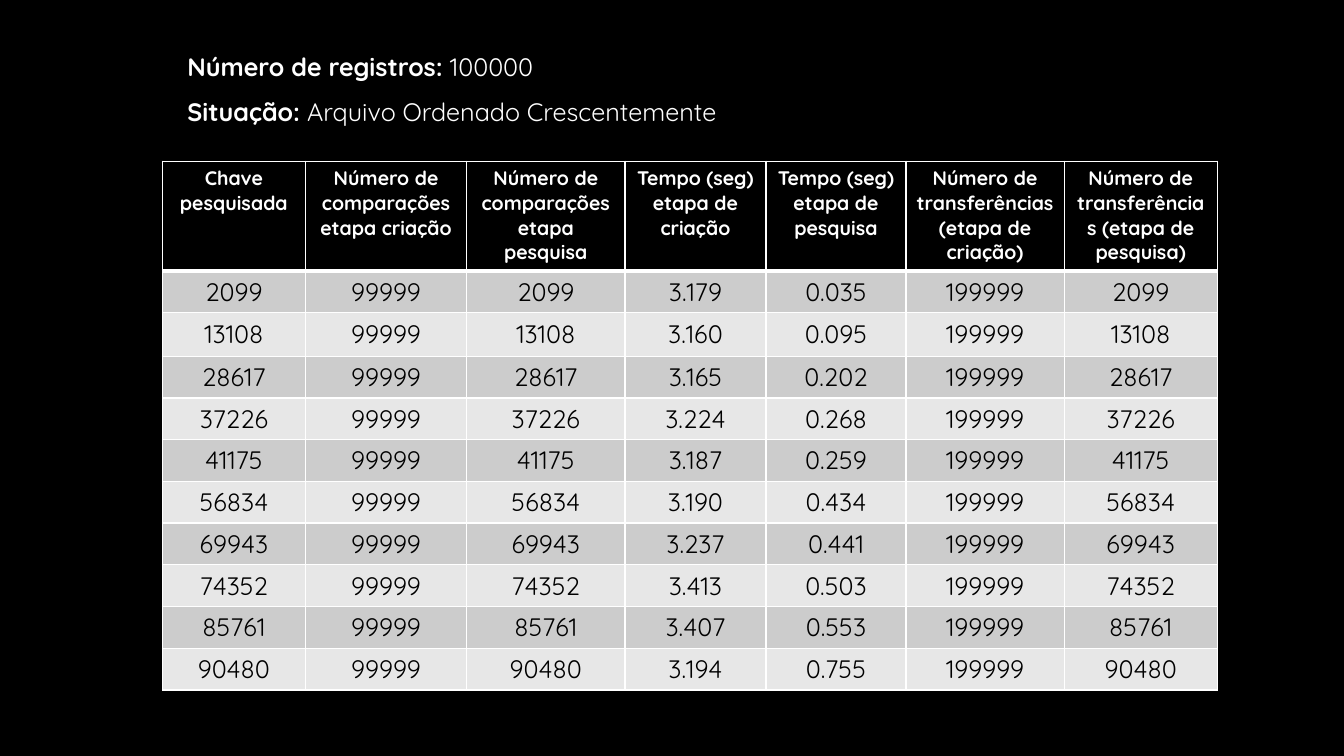
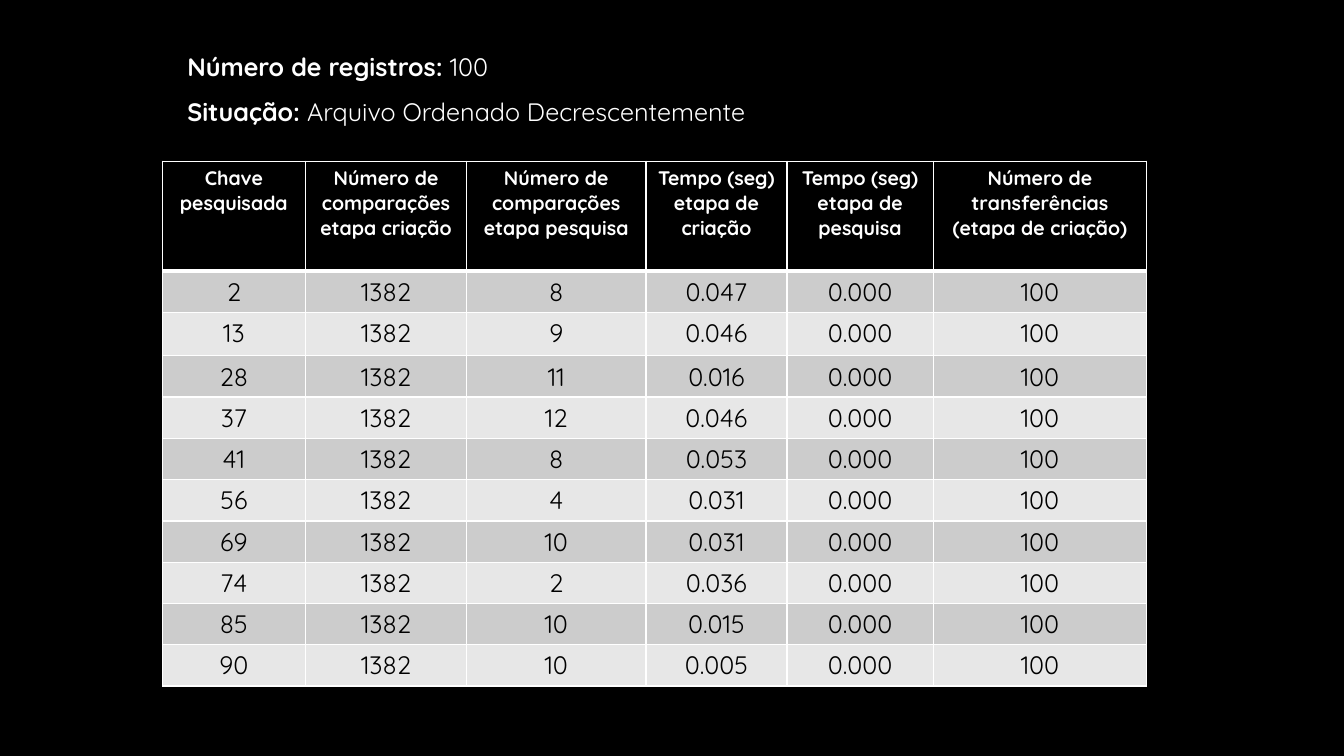
import pptx
import pptx.dml.color
import pptx.enum.text
import pptx.oxml
import pptx.oxml.ns
import pptx.util

Pt = pptx.util.Pt

FONT = "Quicksand"
BLACK, WHITE = "000000", "FFFFFF"
BANDS = ("CCCCCC", "E7E7E7")
THIN, THICK = 1, 3
TABLE_LEFT, TABLE_TOP = 116, 115.2
ROW_HEIGHTS = [78.5, 29.5, 31] + [29.5] * 8
HEADERS = [
    "Chave pesquisada",
    "Número de comparações etapa criação",
    "Número de comparações etapa pesquisa",
    "Tempo (seg) etapa de criação",
    "Tempo (seg) etapa de pesquisa",
    "Número de transferências (etapa de criação)",
    "Número de transferências (etapa de pesquisa)",
]

# Key, creation time, search time
ASCENDING = [
    ("2099", "3.179", "0.035"),
    ("13108", "3.160", "0.095"),
    ("28617", "3.165", "0.202"),
    ("37226", "3.224", "0.268"),
    ("41175", "3.187", "0.259"),
    ("56834", "3.190", "0.434"),
    ("69943", "3.237", "0.441"),
    ("74352", "3.413", "0.503"),
    ("85761", "3.407", "0.553"),
    ("90480", "3.194", "0.755"),
]

# Key, search comparisons, creation time
DESCENDING = [
    ("2", "8", "0.047"),
    ("13", "9", "0.046"),
    ("28", "11", "0.016"),
    ("37", "12", "0.046"),
    ("41", "8", "0.053"),
    ("56", "4", "0.031"),
    ("69", "10", "0.031"),
    ("74", "2", "0.036"),
    ("85", "10", "0.015"),
    ("90", "10", "0.005"),
]


def color(value):
    return pptx.dml.color.RGBColor.from_string(value)


def style_font(paragraph, size, value):
    paragraph.font.name = FONT
    paragraph.font.size = Pt(size)
    paragraph.font.color.rgb = color(value)


def add_borders(cell, top, bottom):
    properties = cell._tc.get_or_add_tcPr()
    namespace = pptx.oxml.ns.nsdecls("a")
    for side, width in (("L", THIN), ("R", THIN), ("T", top), ("B", bottom)):
        properties.append(pptx.oxml.parse_xml(
            f'<a:ln{side} {namespace} w="{Pt(width)}"><a:solidFill>'
            f'<a:srgbClr val="{WHITE}"/></a:solidFill></a:ln{side}>'))


def fill_cell(cell, text, row):
    is_header = row == 0
    add_borders(cell, THICK if row == 1 else THIN, THICK if is_header else THIN)
    cell.fill.solid()
    cell.fill.fore_color.rgb = color(BLACK if is_header else BANDS[(row - 1) % 2])
    cell.text = text
    paragraph = cell.text_frame.paragraphs[0]
    paragraph.alignment = pptx.enum.text.PP_ALIGN.CENTER
    style_font(paragraph, 14 if is_header else 18, WHITE if is_header else BLACK)
    paragraph.font.bold = is_header


def add_results_table(slide, widths, rows):
    table = slide.shapes.add_table(
        len(rows), len(widths), Pt(TABLE_LEFT), Pt(TABLE_TOP),
        Pt(sum(widths)), Pt(sum(ROW_HEIGHTS))).table
    for column, width in zip(table.columns, widths):
        column.width = Pt(width)
    for index, (values, height) in enumerate(zip(rows, ROW_HEIGHTS)):
        table.rows[index].height = Pt(height)
        for cell, text in zip(table.rows[index].cells, values):
            fill_cell(cell, text, index)


def add_summary(slide, width, records, situation):
    """Add the two lines of bold label and value above the table."""
    box = slide.shapes.add_textbox(Pt(126.7), Pt(22.3), Pt(width), Pt(72.7))
    frame = box.text_frame
    frame.word_wrap = False
    frame.auto_size = pptx.enum.text.MSO_AUTO_SIZE.SHAPE_TO_FIT_TEXT
    lines = (("Número de registros: ", records), ("Situação: ", situation))
    for index, (label, value) in enumerate(lines):
        paragraph = frame.add_paragraph() if index else frame.paragraphs[0]
        paragraph.line_spacing = 1.5
        style_font(paragraph, 18, WHITE)
        for text, bold in ((label, True), (value, False)):
            run = paragraph.add_run()
            run.text = text
            run.font.bold = bold


def add_results_slide(presentation, records, situation, summary_width, widths, rows):
    slide = presentation.slides.add_slide(presentation.slide_layouts[6])
    slide.background.fill.solid()
    slide.background.fill.fore_color.rgb = color(BLACK)
    add_results_table(slide, widths, [HEADERS[:len(widths)]] + rows)
    add_summary(slide, summary_width, records, situation)


def main():
    presentation = pptx.Presentation()
    presentation.slide_width = Pt(960)
    presentation.slide_height = Pt(540)
    add_results_slide(
        presentation, "100000", "Arquivo Ordenado Crescentemente", 423.4,
        [102.2, 115.2, 113, 100.8, 100, 113, 109.4],
        [(key, "99999", key, creation, search, "199999", key)
         for key, creation, search in ASCENDING])
    add_results_slide(
        presentation, "100", "Arquivo Ordenado Decrescentemente", 448.6,
        [102.2, 115.2, 128, 100.8, 104.4, 152.6],
        [(key, "1382", comparisons, creation, "0.000", "100")
         for key, comparisons, creation in DESCENDING])
    presentation.save("out.pptx")


if __name__ == "__main__":
    main()
